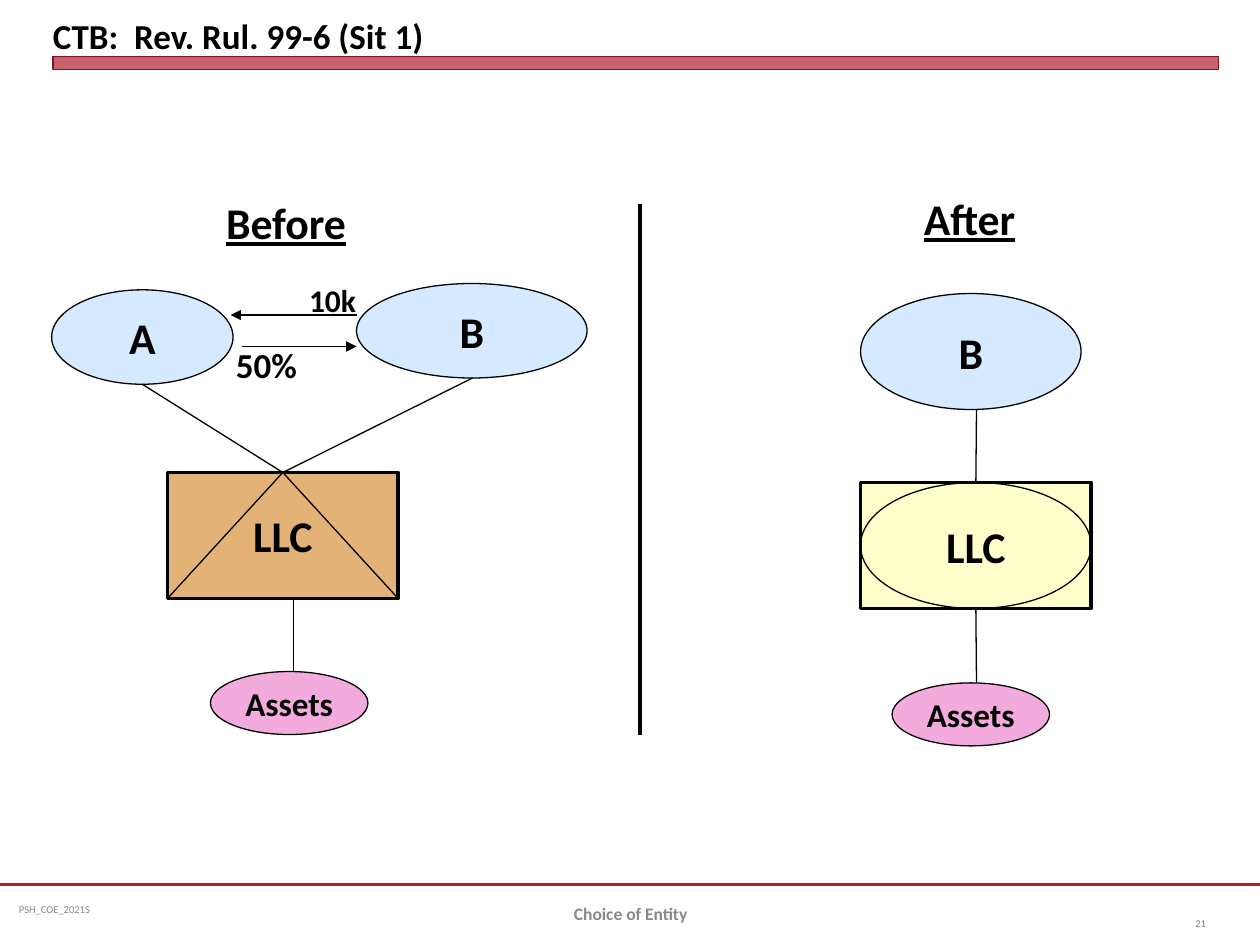
from dataclasses import dataclass

from lxml import etree
from pptx import Presentation
from pptx.dml.color import RGBColor
from pptx.enum import shapes, text
from pptx.oxml import ns
from pptx.util import Inches, Pt

SHAPE = shapes.MSO_SHAPE
ALIGN = text.PP_ALIGN
ANCHOR = text.MSO_ANCHOR
TOP, BOTTOM = 0, 2


@dataclass(frozen=True)
class Theme:
    font: str = "Calibri"
    ink: str = "000000"
    accent: str = "B01C2E"
    accent_dark: str = "821522"
    footer: str = "898989"
    number: str = "808080"
    owner: str = "D6EAFF"
    partnership: str = "E3B276"
    disregarded: str = "FFFFCC"
    assets: str = "F3ABDE"
    heading_size: int = 25
    title_size: int = 20
    asset_size: int = 19
    price_size: int = 18
    footer_size: int = 10
    small_size: int = 6
    thin: float = 0.75
    rule: float = 1.25
    thick: float = 2
    divider: float = 2.5


T = Theme()


def rgb(color):
    return RGBColor.from_string(color)


def write(s, words, size, color=T.ink, bold=True, underline=None,
          align=ALIGN.CENTER, anchor=ANCHOR.MIDDLE, wrap=False):
    tf = s.text_frame
    tf.text = words
    tf.word_wrap = wrap
    tf.vertical_anchor = anchor
    p = tf.paragraphs[0]
    p.alignment = align
    font = p.runs[0].font
    font.name, font.size, font.bold, font.underline = T.font, Pt(size), bold, underline
    font.color.rgb = rgb(color)


def add_label(slide, box, words, size, **style):
    s = slide.shapes.add_textbox(*map(Inches, box))
    write(s, words, size, **style)
    return s


def add_figure(slide, kind, box, fill=None, line=T.ink, width=T.thin):
    s = slide.shapes.add_shape(kind, *map(Inches, box))
    s.shadow.inherit = False
    if fill:
        s.fill.solid()
        s.fill.fore_color.rgb = rgb(fill)
    else:
        s.fill.background()
    s.line.color.rgb = rgb(line)
    s.line.width = Pt(width)
    return s


def add_entity(slide, kind, box, words, fill, size=T.heading_size, width=T.thin):
    s = add_figure(slide, kind, box, fill, width=width)
    write(s, words, size)
    return s


def add_line(slide, start, end, width=T.thin, color=T.ink, arrow=False):
    c = slide.shapes.add_connector(shapes.MSO_CONNECTOR.STRAIGHT,
                                   *map(Inches, (*start, *end)))
    c.line.color.rgb = rgb(color)
    c.line.width = Pt(width)
    if arrow:
        etree.SubElement(c.line._get_or_add_ln(), ns.qn("a:tailEnd"), type="triangle")
    etree.SubElement(c._element.spPr, ns.qn("a:effectLst"))
    return c


def add_frame(slide):
    """Title with its bar, and the footer."""
    add_line(slide, (0, 7.02), (10, 7.02), T.rule, T.accent)
    bar = add_figure(slide, SHAPE.RECTANGLE, (0.42, 0.45, 9.25, 0.1),
                     T.accent, T.accent_dark, 0)
    color = bar.fill._xPr.find(".//" + ns.qn("a:srgbClr"))
    etree.SubElement(color, ns.qn("a:alpha"), val="69000")

    title = slide.shapes.title
    title.left, title.top, title.width, title.height = map(Inches, (0.42, 0.05, 9.25, 0.4))
    write(title, "CTB:  Rev. Rul. 99-6 (Sit 1)", T.title_size,
          align=ALIGN.LEFT, anchor=ANCHOR.BOTTOM, wrap=True)
    tf = title.text_frame
    tf.margin_left = tf.margin_right = tf.margin_top = tf.margin_bottom = 0

    course = add_label(slide, (0.08, 7.02, 2.58, 0.4), "PSH_COE_2021S", T.small_size,
                       color=T.footer, bold=False, align=ALIGN.LEFT, wrap=True)
    course.text_frame.margin_left = Inches(0.07)
    add_label(slide, (3.42, 7.05, 3.17, 0.4), "Choice of Entity", T.footer_size,
              color=T.footer, wrap=True)
    add_label(slide, (9.17, 7.13, 0.5, 0.4), "21", T.small_size,
              color=T.number, bold=False, align=ALIGN.RIGHT, wrap=True)


def add_company(slide, box, fill, inner):
    """LLC box with the outline that marks its tax status."""
    llc = add_entity(slide, SHAPE.RECTANGLE, box, "LLC", fill, width=T.thick)
    add_figure(slide, inner, box)
    return llc


def add_assets(slide, left, top):
    add_entity(slide, SHAPE.OVAL, (left, top, 1.25, 0.5), "Assets", T.assets, T.asset_size)


def add_before(slide):
    add_label(slide, (1.68, 1.5, 1.18, 0.52), "Before", T.heading_size, underline=True)
    add_entity(slide, SHAPE.OVAL, (0.41, 2.3, 1.44, 0.75), "A", T.owner)
    add_entity(slide, SHAPE.OVAL, (2.83, 2.25, 1.83, 0.75), "B", T.owner)
    llc = add_company(slide, (1.33, 3.75, 1.83, 1), T.partnership, SHAPE.ISOSCELES_TRIANGLE)
    for owner_bottom in ((1.13, 3.05), (3.75, 3)):
        add_line(slide, owner_bottom, (2.25, 3.75)).end_connect(llc, TOP)
    add_line(slide, (2.33, 4.75), (2.33, 5.33))
    add_assets(slide, 1.67, 5.33)

    add_line(slide, (2.83, 2.5), (1.83, 2.5), arrow=True)
    add_line(slide, (1.92, 2.75), (2.83, 2.75), arrow=True)
    add_label(slide, (2.31, 2.12, 0.66, 0.52), "10k", T.price_size)
    add_label(slide, (1.74, 2.67, 0.75, 0.44), "50%", T.title_size)


def add_after(slide):
    add_label(slide, (7.22, 1.47, 0.95, 0.52), "After", T.heading_size, underline=True)
    add_entity(slide, SHAPE.OVAL, (6.83, 2.33, 1.75, 0.92), "B", T.owner)
    llc = add_company(slide, (6.83, 3.83, 1.83, 1), T.disregarded, SHAPE.OVAL)
    add_line(slide, (7.75, 3.25), (7.75, 3.83)).end_connect(llc, TOP)
    add_line(slide, (7.75, 4.83), (7.75, 5.42)).begin_connect(llc, BOTTOM)
    add_assets(slide, 7.08, 5.42)


def main():
    prs = Presentation()
    prs.slide_width, prs.slide_height = Inches(10), Inches(7.5)
    slide = prs.slides.add_slide(prs.slide_layouts[5])
    add_frame(slide)
    add_before(slide)
    add_line(slide, (5.08, 1.62), (5.08, 5.83), T.divider)
    add_after(slide)
    prs.save("out.pptx")


if __name__ == "__main__":
    main()
